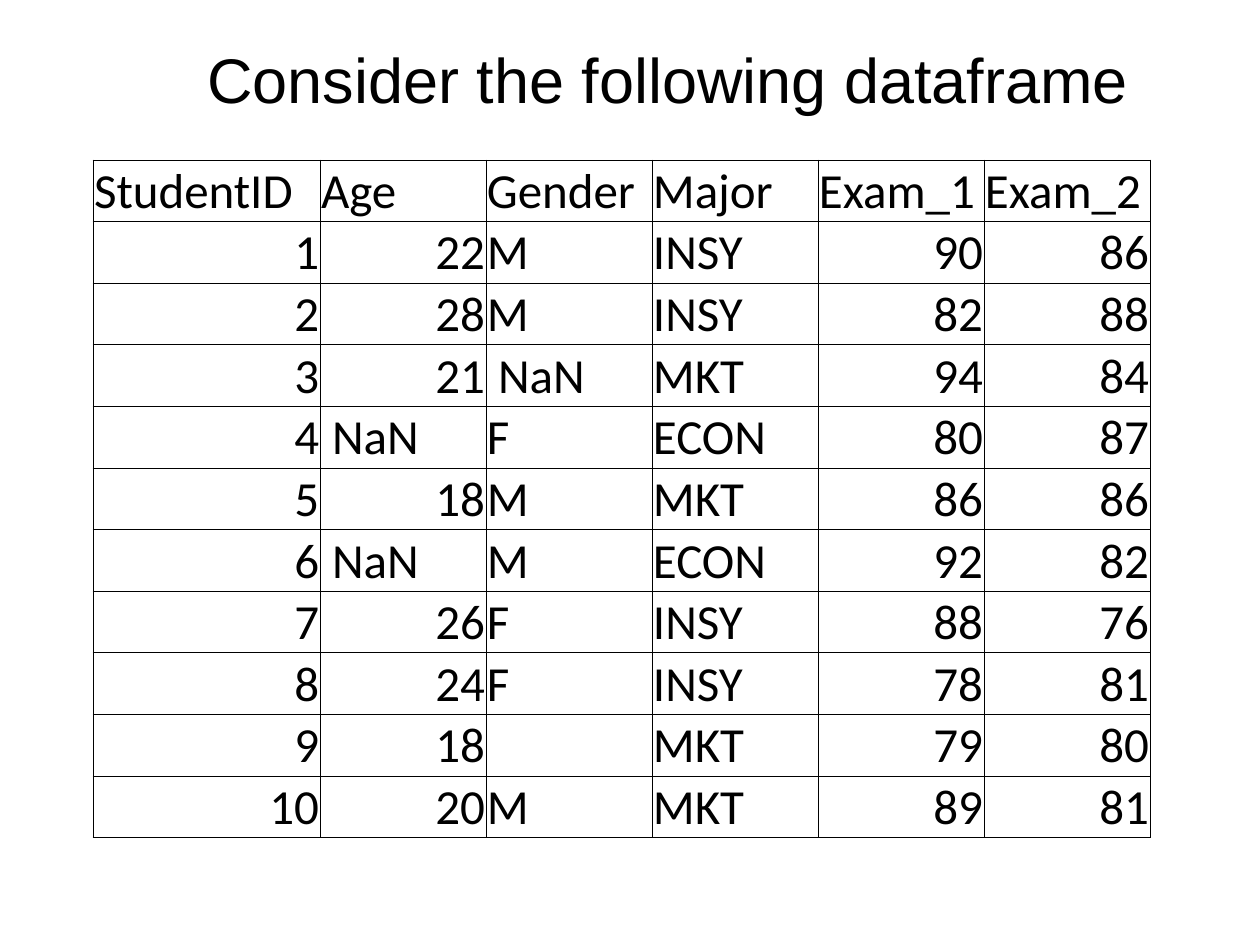
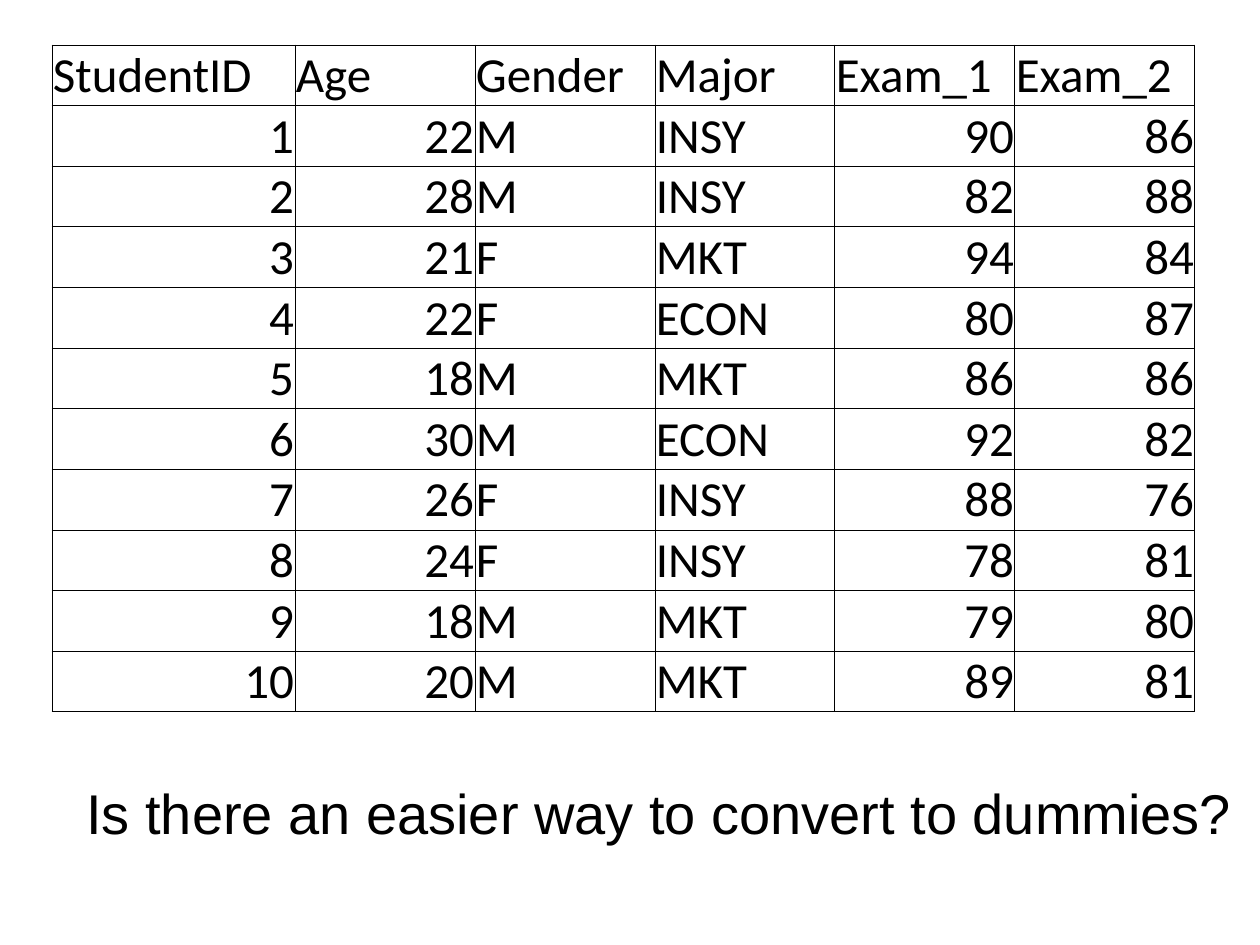
from dataclasses import dataclass

from lxml import etree
from pptx import Presentation
from pptx import util as u
from pptx.dml import color
from pptx.enum import text
from pptx.oxml import ns

EMU_PER_PX = 914400 / 126


@dataclass(frozen=True)
class Theme:
    ink: str = "000000"
    text_font: str = "Arial"
    table_font: str = "Calibri"
    title_size: int = 36
    question_size: int = 32
    cell_size: int = 28
    border_width: float = 0.5


THEME = Theme()

HEADER = ("StudentID", "Age", "Gender", "Major", "Exam_1", "Exam_2")
AGE, GENDER = HEADER.index("Age"), HEADER.index("Gender")
STUDENTS = (
    (1, 22, "M", "INSY", 90, 86),
    (2, 28, "M", "INSY", 82, 88),
    (3, 21, "F", "MKT", 94, 84),
    (4, 22, "F", "ECON", 80, 87),
    (5, 18, "M", "MKT", 86, 86),
    (6, 30, "M", "ECON", 92, 82),
    (7, 26, "F", "INSY", 88, 76),
    (8, 24, "F", "INSY", 78, 81),
    (9, 18, "M", "MKT", 79, 80),
    (10, 20, "M", "MKT", 89, 81),
)
# (student ID, column) -> what stands in place of the value
MISSING = {(3, GENDER): " NaN", (4, AGE): " NaN", (6, AGE): " NaN", (9, GENDER): ""}


def px(length):
    return u.Emu(round(length * EMU_PER_PX))


def set_font(paragraph, name, size):
    paragraph.font.name = name
    paragraph.font.size = u.Pt(size)
    paragraph.font.color.rgb = color.RGBColor.from_string(THEME.ink)


def add_line_of_text(slide, words, left, top, width, height, size):
    """Add a one-line text box that grows with its text."""
    shape = slide.shapes.add_textbox(px(left), px(top), px(width), px(height))
    frame = shape.text_frame
    frame.word_wrap = False
    frame.auto_size = text.MSO_AUTO_SIZE.SHAPE_TO_FIT_TEXT
    frame.text = words
    set_font(frame.paragraphs[0], THEME.text_font, size)


def add_cell_borders(cell):
    properties = cell._tc.get_or_add_tcPr()
    for side in ("lnL", "lnR", "lnT", "lnB"):
        line = etree.SubElement(properties, ns.qn(f"a:{side}"),
                                w=str(u.Pt(THEME.border_width)))
        fill = etree.SubElement(line, ns.qn("a:solidFill"))
        etree.SubElement(fill, ns.qn("a:srgbClr"), val=THEME.ink)


def fill_cell(cell, value):
    """Write a value; numbers stand right, words stand left."""
    add_cell_borders(cell)
    cell.fill.background()
    cell.vertical_anchor = text.MSO_ANCHOR.BOTTOM
    cell.margin_left = cell.margin_right = cell.margin_top = px(1)
    cell.margin_bottom = 0
    cell.text = str(value)
    paragraph = cell.text_frame.paragraphs[0]
    set_font(paragraph, THEME.table_font, THEME.cell_size)
    if isinstance(value, int):
        paragraph.alignment = text.PP_ALIGN.RIGHT


def add_student_table(slide, students, left, top, height, id_width, column_width):
    rows = (HEADER, *students)
    widths = [id_width] + [column_width] * (len(HEADER) - 1)
    frame = slide.shapes.add_table(len(rows), len(widths), px(left), px(top),
                                   px(sum(widths)), px(height))
    table = frame.table
    table.first_row = table.horz_banding = False
    for column, width in zip(table.columns, widths):
        column.width = px(width)
    for table_row, values in zip(table.rows, rows):
        table_row.height = px(height / len(rows))
        for cell, value in zip(table_row.cells, values):
            fill_cell(cell, value)


def with_missing_values(students):
    return [[MISSING.get((student[0], column), value)
             for column, value in enumerate(student)] for student in students]


def add_dataframe_slide(slide):
    add_student_table(slide, with_missing_values(STUDENTS), left=93, top=160,
                      height=678, id_width=227, column_width=166)
    add_line_of_text(slide, "Consider the following dataframe",
                     195, 34, 955, 89, THEME.title_size)


def add_question_slide(slide):
    add_student_table(slide, STUDENTS, left=52, top=45,
                      height=667, id_width=243, column_width=180)
    add_line_of_text(slide, "Is there an easier way to convert to dummies?",
                     74, 772, 1182, 81, THEME.question_size)


def main():
    presentation = Presentation()
    presentation.slide_width, presentation.slide_height = px(1260), px(945)
    blank = presentation.slide_layouts[6]
    for build in (add_dataframe_slide, add_question_slide):
        build(presentation.slides.add_slide(blank))
    presentation.save("out.pptx")


if __name__ == "__main__":
    main()
